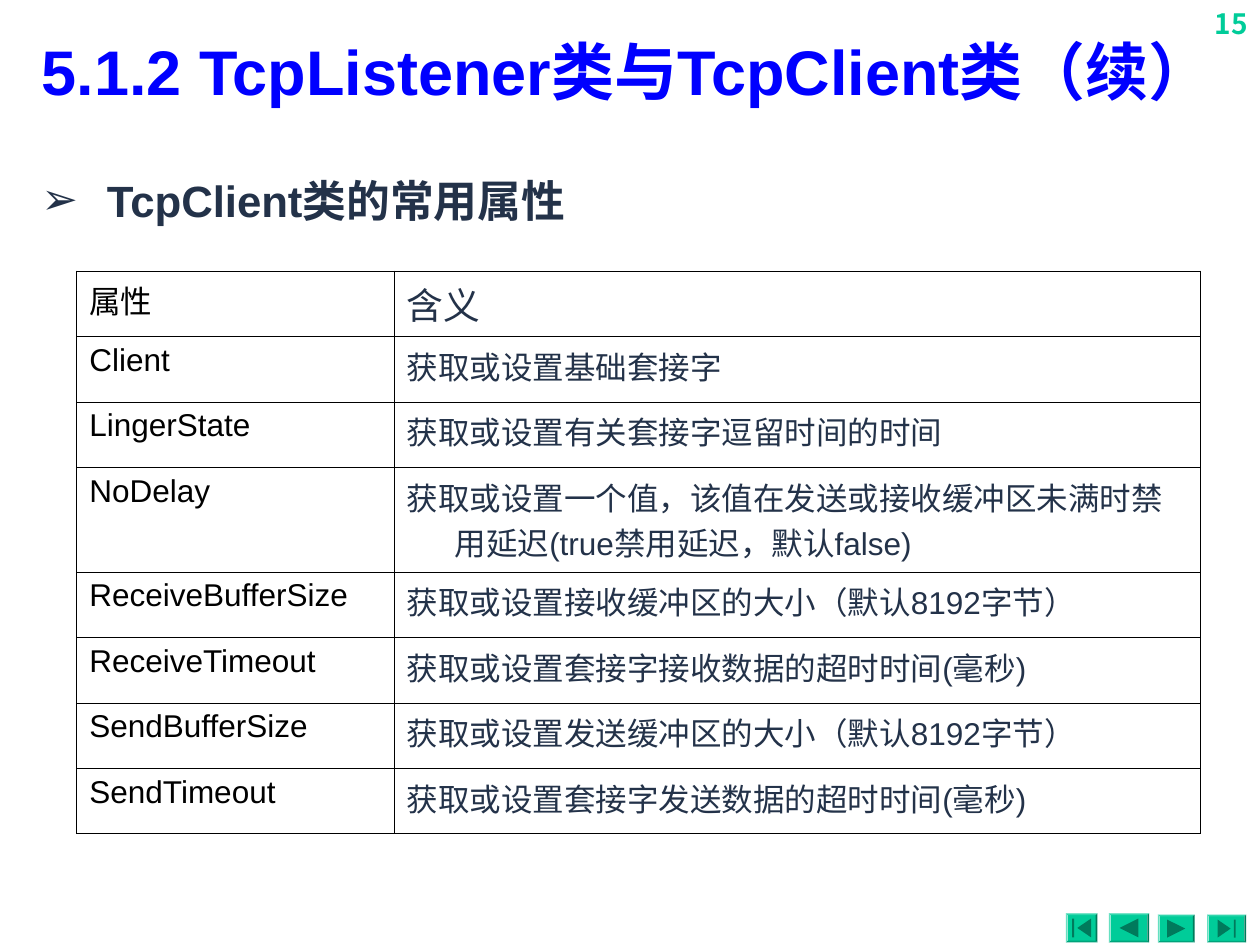
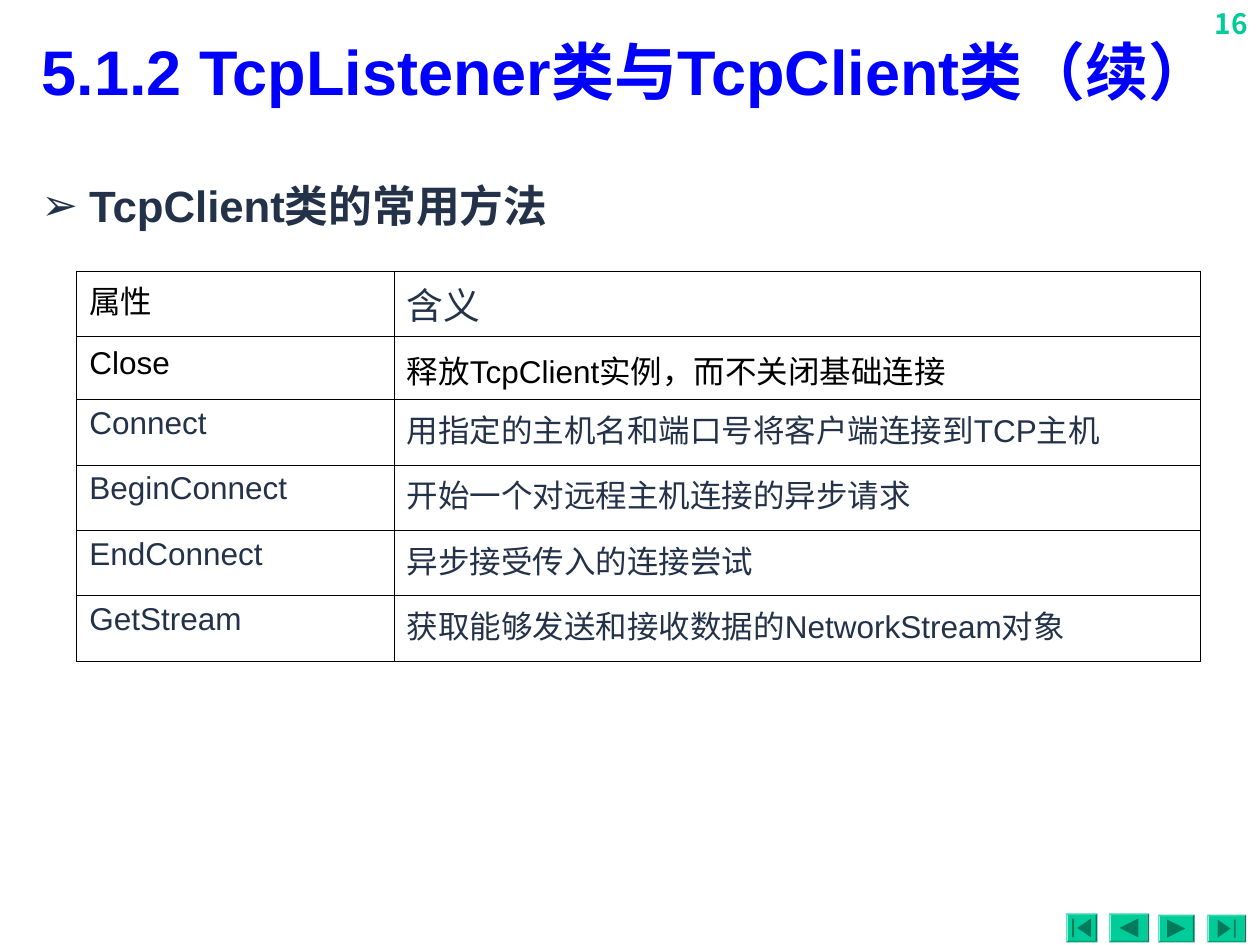
from dataclasses import dataclass

from lxml import etree
from pptx import Presentation
from pptx import util as u
from pptx.dml.color import RGBColor
from pptx.enum import shapes, text
from pptx.oxml.ns import qn


@dataclass(frozen=True)
class Theme:
    title: str = "0000FF"
    ink: str = "233249"
    black: str = "000000"
    accent: str = "00CC99"
    glyph: str = "007A5C"
    latin: str = "Arial"
    cjk: str = "Noto Sans CJK KR"
    title_size: int = 36
    heading_size: int = 25
    header_size: int = 21
    cell_size: int = 18
    page_size: int = 16


THEME = Theme()
TITLE = "5.1.2 TcpListener类与TcpClient类（续）"
HEADER = ("属性", "含义")
COLUMN_WIDTHS = (2.52, 6.4)
ROW_HEIGHT = 0.52
CELL_INDENT = 0.38
LOOSE = 1.1  # line spacing of the looser paragraphs

PROPERTIES = [
    ("Client", "获取或设置基础套接字"),
    ("LingerState", "获取或设置有关套接字逗留时间的时间"),
    ("NoDelay", "获取或设置一个值，该值在发送或接收缓冲区未满时禁用延迟(true禁用延迟，默认false)"),
    ("ReceiveBufferSize", "获取或设置接收缓冲区的大小（默认8192字节）"),
    ("ReceiveTimeout", "获取或设置套接字接收数据的超时时间(毫秒)"),
    ("SendBufferSize", "获取或设置发送缓冲区的大小（默认8192字节）"),
    ("SendTimeout", "获取或设置套接字发送数据的超时时间(毫秒)"),
]
METHODS = [
    ("Close", "释放TcpClient实例，而不关闭基础连接"),
    ("Connect", "用指定的主机名和端口号将客户端连接到TCP主机"),
    ("BeginConnect", "开始一个对远程主机连接的异步请求"),
    ("EndConnect", "异步接受传入的连接尝试"),
    ("GetStream", "获取能够发送和接收数据的NetworkStream对象"),
]

# Navigation glyphs in a unit square: arrow and stop bar, pointing left
ARROW = [(0, 0.5), (1, 0), (1, 1)]
SHORT_ARROW = [(0.27, 0.5), (1, 0), (1, 1)]
BAR = [(0, 0), (0.1, 0), (0.1, 1), (0, 1)]


def mirror(contours):
    return [[(1 - x, y) for x, y in contour] for contour in contours]


NAVIGATION = [  # button box, glyph contours
    ((8.46, 7.25, 0.25, 0.23), [SHORT_ARROW, BAR]),
    ((8.8, 7.25, 0.32, 0.23), [ARROW]),
    ((9.19, 7.26, 0.29, 0.22), mirror([ARROW])),
    ((9.58, 7.26, 0.31, 0.22), mirror([SHORT_ARROW, BAR])),
]


def inches(*lengths):
    return [u.Inches(length) for length in lengths]


def style(paragraph, size, color, bold=False, latin=THEME.latin):
    font = paragraph.font
    font.size = u.Pt(size)
    font.bold = bold
    font.name = latin
    font.color.rgb = RGBColor.from_string(color)
    properties = paragraph._p.pPr.find(qn("a:defRPr"))
    etree.SubElement(properties, qn("a:ea"), typeface=THEME.cjk)


def hang(paragraph, indent):
    properties = paragraph._p.get_or_add_pPr()
    properties.set("marL", str(u.Inches(indent)))
    properties.set("indent", str(-u.Inches(indent)))
    return properties


def add_text_box(slide, box, content):
    frame = slide.shapes.add_textbox(*inches(*box)).text_frame
    frame.word_wrap = True
    paragraph = frame.paragraphs[0]
    paragraph.text = content
    return paragraph


def add_title(slide):
    title = slide.shapes.title
    title.left, title.top, title.width, title.height = inches(0.23, 0.19, 9.52, 0.74)
    frame = title.text_frame
    frame.text = TITLE
    frame.auto_size = text.MSO_AUTO_SIZE.NONE
    frame.vertical_anchor = text.MSO_ANCHOR.MIDDLE
    paragraph = frame.paragraphs[0]
    paragraph.alignment = text.PP_ALIGN.LEFT
    style(paragraph, THEME.title_size, THEME.title, bold=True)


def add_page_number(slide, number):
    paragraph = add_text_box(slide, (9.45, 0, 0.55, 0.4), str(number))
    paragraph.alignment = text.PP_ALIGN.RIGHT
    style(paragraph, THEME.page_size, THEME.accent, bold=True, latin=THEME.cjk)


def fill_plain(shape, color):
    shape.shadow.inherit = False
    shape.fill.solid()
    shape.fill.fore_color.rgb = RGBColor.from_string(color)
    shape.line.fill.background()


def add_nav_button(slide, box, contours):
    left, top, width, height = box
    button = slide.shapes.add_shape(shapes.MSO_SHAPE.BEVEL, *inches(*box))
    button.adjustments[0] = 0.06
    fill_plain(button, THEME.accent)

    # Glyph centred on the button
    side = 0.65 * height
    x0, y0 = left + (width - side) / 2, top + (height - side) / 2
    outlines = [[inches(x0 + x * side, y0 + y * side) for x, y in contour]
                for contour in contours]
    builder = slide.shapes.build_freeform(*outlines[0][0])
    for index, (start, *rest) in enumerate(outlines):
        if index:
            builder.move_to(*start)
        builder.add_line_segments(rest, close=True)
    fill_plain(builder.convert_to_shape(), THEME.glyph)


def add_heading(slide, content, indent, line_spacing=None):
    paragraph = add_text_box(slide, (0.23, 1.33, 9.21, 0.64), content)
    paragraph.line_spacing = line_spacing
    properties = hang(paragraph, indent)
    bullet_color = etree.SubElement(properties, qn("a:buClr"))
    etree.SubElement(bullet_color, qn("a:srgbClr"), val=THEME.ink)
    etree.SubElement(properties, qn("a:buFont"), typeface=THEME.latin)
    etree.SubElement(properties, qn("a:buChar"), char="➢")
    style(paragraph, THEME.heading_size, THEME.ink, bold=True)


def add_borders(cell):
    properties = cell._tc.get_or_add_tcPr()
    for side in ("lnL", "lnR", "lnT", "lnB"):
        border = etree.SubElement(properties, qn(f"a:{side}"), w=str(u.Pt(0.45)))
        fill = etree.SubElement(border, qn("a:solidFill"))
        etree.SubElement(fill, qn("a:srgbClr"), val=THEME.black)


def fill_cell(cell, content, size, color, line_spacing=None):
    add_borders(cell)
    cell.fill.background()
    paragraph = cell.text_frame.paragraphs[0]
    paragraph.text = content
    paragraph.line_spacing = line_spacing
    hang(paragraph, CELL_INDENT)
    style(paragraph, size, color)


def add_member_table(slide, members, colors, special_heights, loose_rows=()):
    """Colors holds the (name, meaning) colours of each row below the header."""
    heights = [special_heights.get(row, ROW_HEIGHT) for row in range(len(members) + 1)]
    table = slide.shapes.add_table(
        len(heights), len(COLUMN_WIDTHS),
        *inches(0.61, 2.15, sum(COLUMN_WIDTHS), sum(heights))).table
    table.first_row = table.horz_banding = False
    for column, width in zip(table.columns, COLUMN_WIDTHS):
        column.width = u.Inches(width)
    for row, height in zip(table.rows, heights):
        row.height = u.Inches(height)

    # Header row
    fill_cell(table.cell(0, 0), HEADER[0], THEME.cell_size, THEME.black)
    fill_cell(table.cell(0, 1), HEADER[1], THEME.header_size, THEME.ink)
    # Member rows
    for row, (member, row_colors) in enumerate(zip(members, colors), start=1):
        spacing = LOOSE if row in loose_rows else None
        for column, (content, color) in enumerate(zip(member, row_colors)):
            fill_cell(table.cell(row, column), content, THEME.cell_size, color, spacing)


def add_base_slide(deck, number):
    slide = deck.slides.add_slide(deck.slide_layouts[5])
    add_page_number(slide, number)
    for box, contours in NAVIGATION:
        add_nav_button(slide, box, contours)
    add_title(slide)
    return slide


def main():
    deck = Presentation()
    deck.slide_width, deck.slide_height = inches(10, 7.5)

    # Properties of TcpClient; the third one wraps to two lines
    slide = add_base_slide(deck, 15)
    add_heading(slide, "TcpClient类的常用属性", indent=0.52)
    add_member_table(slide, PROPERTIES, [(THEME.black, THEME.ink)] * len(PROPERTIES),
                     special_heights={3: 0.83})

    # Methods of TcpClient
    slide = add_base_slide(deck, 16)
    add_heading(slide, "TcpClient类的常用方法", indent=0.38, line_spacing=LOOSE)
    method_colors = [(THEME.black,) * 2] + [(THEME.ink,) * 2] * (len(METHODS) - 1)
    add_member_table(slide, METHODS, method_colors,
                     special_heights={1: 0.5}, loose_rows=(1,))

    deck.save("out.pptx")


if __name__ == "__main__":
    main()
